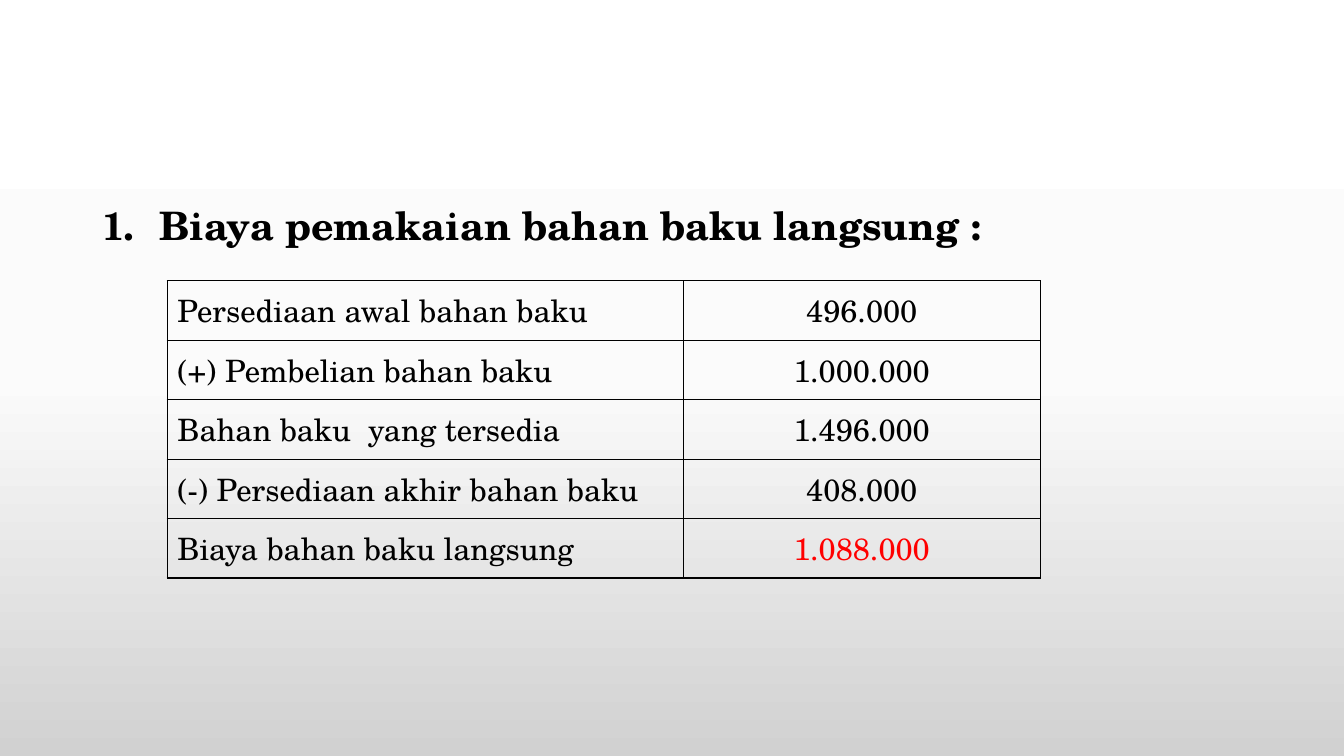
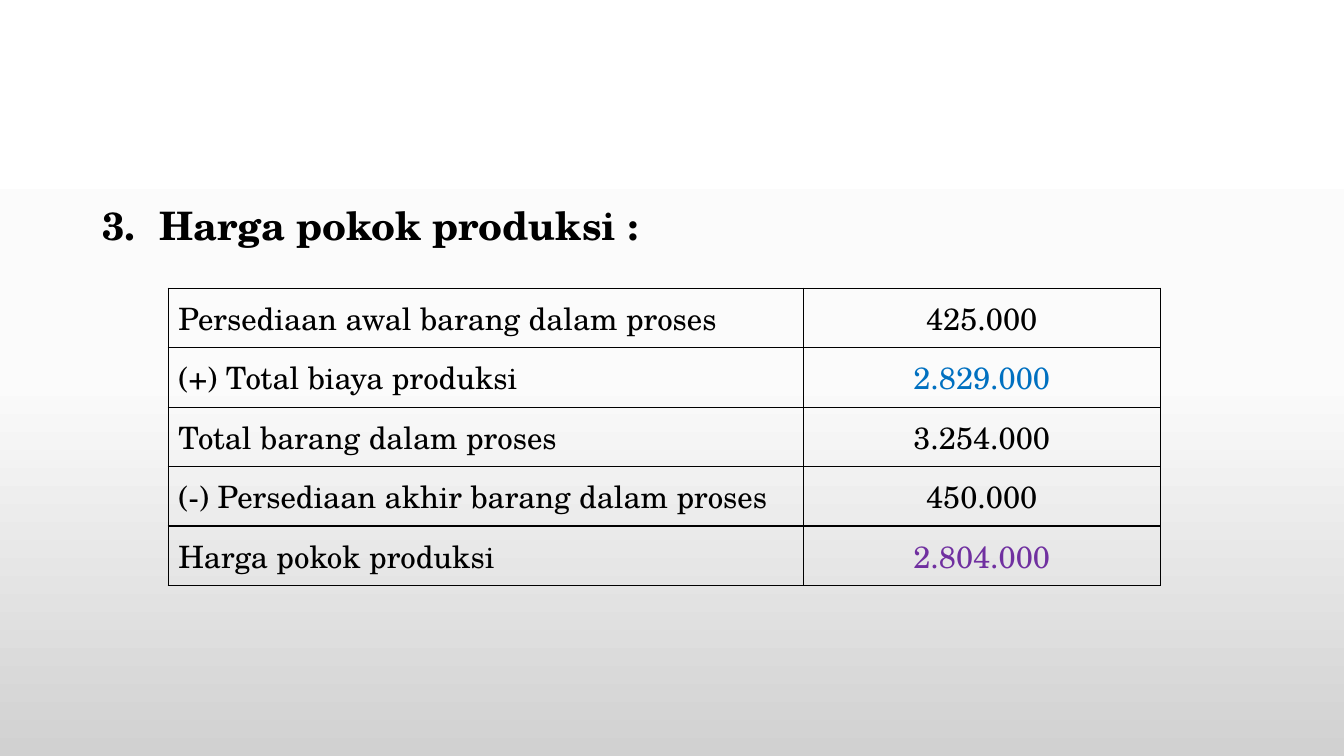
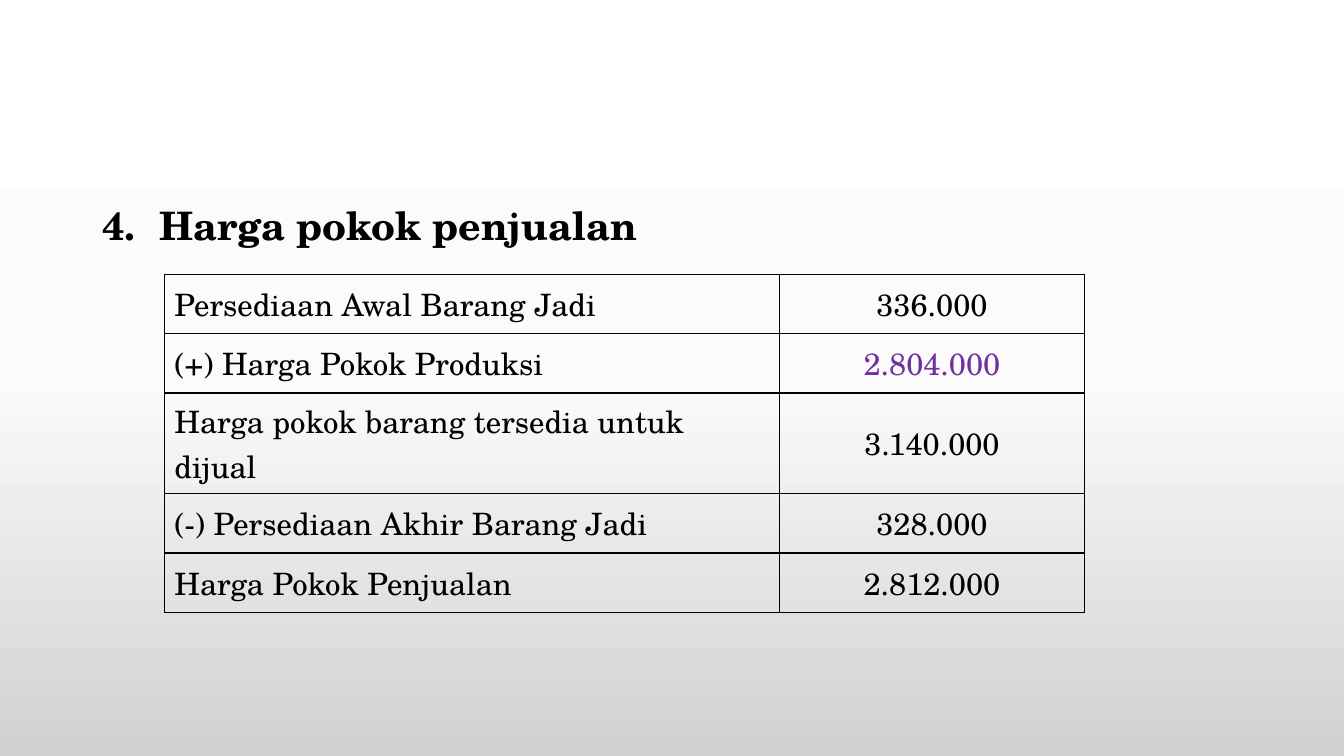
from lxml.etree import SubElement
from pptx import Presentation
from pptx.dml.color import RGBColor
from pptx.enum.text import MSO_ANCHOR, MSO_AUTO_SIZE, PP_ALIGN
from pptx.oxml import parse_xml
from pptx.oxml.ns import nsdecls, qn
from pptx.util import Pt

COLORS = {
    "text": "000000",
    "material": "FF0000",
    "production": "0070C0",
    "goods": "7030A0",
    "top": "FFFFFF",
    "middle": "FBFBFB",
    "bottom": "D1D1D1",
}
FONT = "TeX Gyre Schola"
ROW_HEIGHT = 42.48

# Each slide: heading number, heading, table left and top, column widths,
# and rows of label, amount and amount colour.
SLIDES = [
    (1, "Biaya pemakaian bahan baku langsung :", 119.5, 200.6, (368.64, 254.88), [
        ("Persediaan awal bahan baku", "496.000", "text"),
        ("(+) Pembelian bahan baku", "1.000.000", "text"),
        ("Bahan baku  yang tersedia", "1.496.000", "text"),
        ("(-) Persediaan akhir bahan baku", "408.000", "text"),
        ("Biaya bahan baku langsung", "1.088.000", "material"),
    ]),
    (3, "Harga pokok produksi :", 120.2, 205.9, (453.6, 254.88), [
        ("Persediaan awal barang dalam proses", "425.000", "text"),
        ("(+) Total biaya produksi", "2.829.000", "production"),
        ("Total barang dalam proses", "3.254.000", "text"),
        ("(-) Persediaan akhir barang dalam proses", "450.000", "text"),
        ("Harga pokok produksi", "2.804.000", "goods"),
    ]),
    (4, "Harga pokok penjualan", 117.4, 195.8, (439.2, 218.16), [
        ("Persediaan Awal Barang Jadi", "336.000", "text"),
        ("(+) Harga Pokok Produksi", "2.804.000", "goods"),
        ("Harga pokok barang tersedia untuk dijual", "3.140.000", "text"),
        ("(-) Persediaan Akhir Barang Jadi", "328.000", "text"),
        ("Harga Pokok Penjualan", "2.812.000", "text"),
    ]),
]


def style_text(para, size, color, bold, align):
    """Set the font and alignment of a paragraph."""
    para.font.name = FONT
    para.font.size = Pt(size)
    para.font.bold = bold
    para.font.color.rgb = RGBColor.from_string(COLORS[color])
    para.alignment = align


def fill_cell(cell, text, color, align):
    """Write one clear table cell with a thin border on all sides."""
    cell.text = text
    cell.vertical_anchor = MSO_ANCHOR.MIDDLE
    cell.fill.background()
    style_text(cell.text_frame.paragraphs[0], 22, color, False, align)
    properties = cell._tc.get_or_add_tcPr()
    for index, side in enumerate("LRTB"):
        properties.insert(index, parse_xml(
            f'<a:ln{side} {nsdecls("a")} w="{Pt(1)}"><a:solidFill>'
            f'<a:srgbClr val="{COLORS["text"]}"/></a:solidFill></a:ln{side}>'))


deck = Presentation()
deck.slide_width, deck.slide_height = Pt(960), Pt(540)

# Shared background: three stops, from top to bottom
master = deck.slide_master
background = master.background.fill
background.gradient()
background.gradient_angle = 270
stops = next(master.element.iter(qn("a:gsLst")))
for stop in list(stops):
    stops.remove(stop)
for position, name in ((0, "top"), (50, "middle"), (100, "bottom")):
    stop = SubElement(stops, qn("a:gs"), pos=str(position * 1000))
    SubElement(stop, qn("a:srgbClr"), val=COLORS[name])

for number, heading, left, top, widths, rows in SLIDES:
    page = deck.slides.add_slide(deck.slide_layouts[5])

    # Numbered heading
    title = page.shapes.title
    title.left, title.top, title.width, title.height = Pt(66), Pt(144), Pt(828), Pt(342.72)
    title.text = heading
    title.text_frame.auto_size = MSO_AUTO_SIZE.NONE
    title.text_frame.vertical_anchor = MSO_ANCHOR.TOP
    para = title.text_frame.paragraphs[0]
    style_text(para, 28, "text", True, PP_ALIGN.LEFT)
    para.line_spacing = 0.9
    para.space_before = Pt(10)
    numbering = para._p.get_or_add_pPr()
    numbering.set("marL", str(Pt(40.5)))
    numbering.set("indent", str(Pt(-40.5)))
    bullet = parse_xml(f'<a:buAutoNum {nsdecls("a")} type="arabicPeriod" startAt="{number}"/>')
    numbering.find(qn("a:spcBef")).addnext(bullet)

    # Calculation table
    table = page.shapes.add_table(
        len(rows), 2, Pt(left), Pt(top), Pt(sum(widths)), Pt(ROW_HEIGHT * len(rows))).table
    table.first_row = False
    table.horz_banding = False
    for column, width in zip(table.columns, widths):
        column.width = Pt(width)
    for row, (label, amount, color) in zip(table.rows, rows):
        row.height = Pt(ROW_HEIGHT)
        fill_cell(row.cells[0], label, "text", PP_ALIGN.LEFT)
        fill_cell(row.cells[1], amount, color, PP_ALIGN.CENTER)

deck.save("out.pptx")
